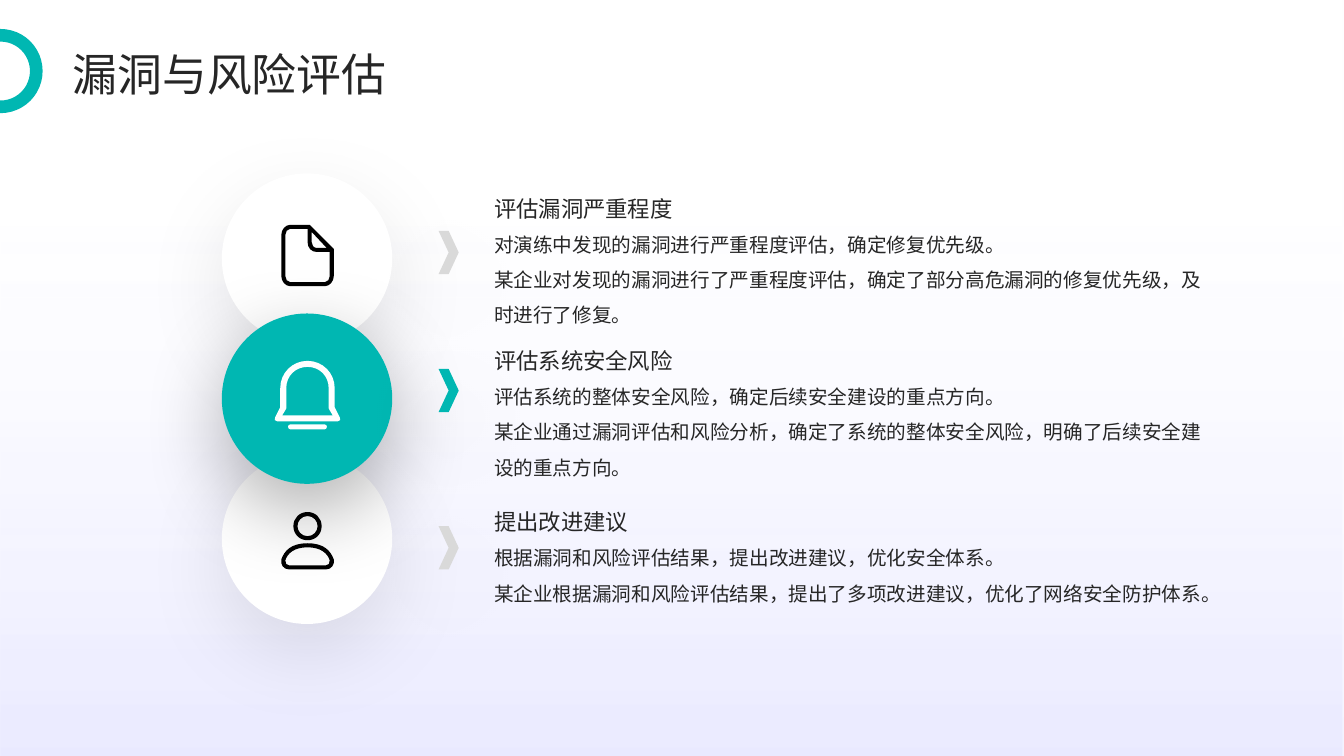
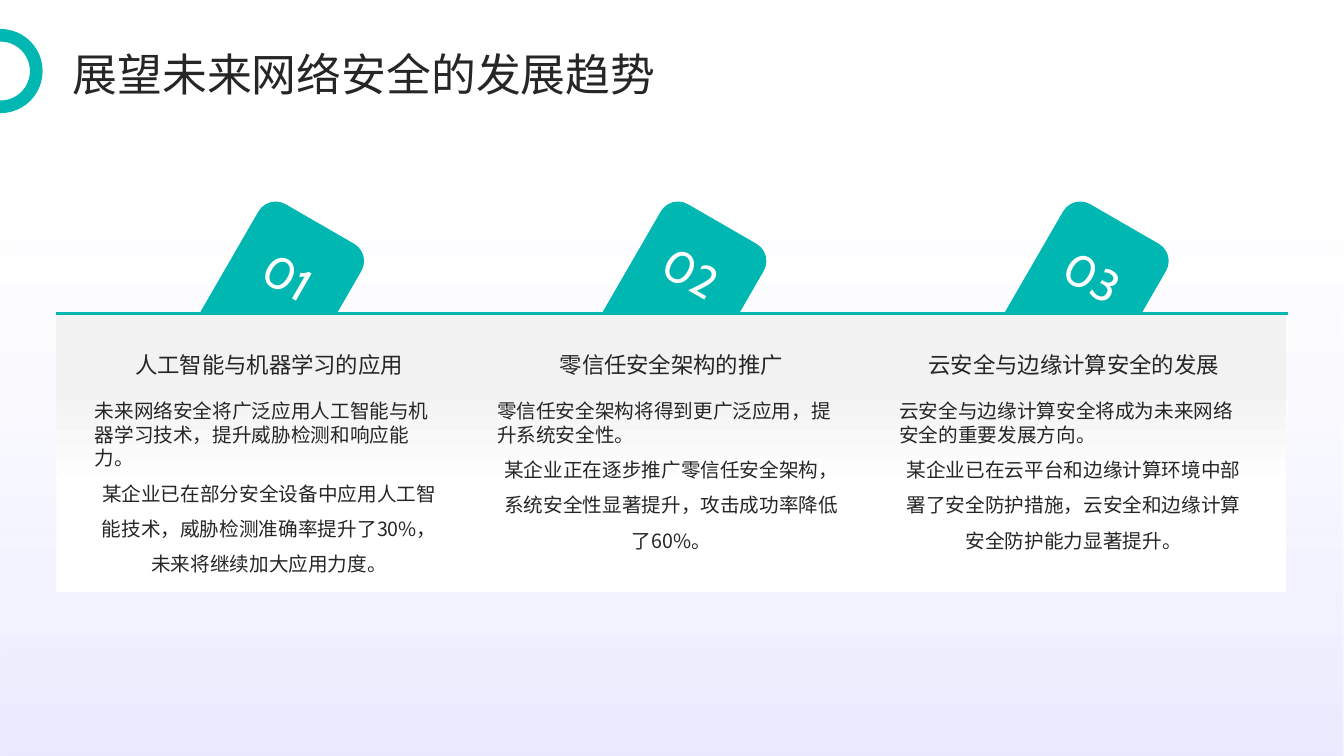
from lxml.etree import SubElement
from pptx import Presentation
from pptx.dml.color import RGBColor
from pptx.enum.shapes import MSO_CONNECTOR, MSO_SHAPE
from pptx.enum.text import MSO_ANCHOR, PP_ALIGN
from pptx.oxml.ns import qn
from pptx.util import Pt

PX = 9144
WIDE, HIGH = 1333, 750
TEAL = RGBColor(0x00, 0xB7, 0xB2)
INK = RGBColor(0x26, 0x26, 0x26)
WHITE = RGBColor(0xFF, 0xFF, 0xFF)
BLACK = RGBColor(0x00, 0x00, 0x00)
GREY = RGBColor(0xD9, 0xD9, 0xD9)
PALE = RGBColor(0xF2, 0xF2, 0xF2)
LILAC = RGBColor(0xBC, 0xBC, 0xFF)
BLUE = RGBColor(0x79, 0x79, 0xFF)
SANS = "Noto Sans CJK SC"
ROUND = "Cabin"
MID = 305

RISKS = [
    (179, 229, "评估漏洞严重程度", "对演练中发现的漏洞进行严重程度评估，确定修复优先级。",
     "某企业对发现的漏洞进行了严重程度评估，确定了部分高危漏洞的修复优先级，及时进行了修复。"),
    (330, 366, "评估系统安全风险", "评估系统的整体安全风险，确定后续安全建设的重点方向。",
     "某企业通过漏洞评估和风险分析，确定了系统的整体安全风险，明确了后续安全建设的重点方向。"),
    (490, 522, "提出改进建议", "根据漏洞和风险评估结果，提出改进建议，优化安全体系。",
     "某企业根据漏洞和风险评估结果，提出了多项改进建议，优化了网络安全防护体系。"),
]
TRENDS = [
    ("01", 243, "人工智能与机器学习的应用",
     "未来网络安全将广泛应用人工智能与机器学习技术，提升威胁检测和响应能力。",
     "某企业已在部分安全设备中应用人工智能技术，威胁检测准确率提升了30%，未来将继续加大应用力度。"),
    ("02", 239, "零信任安全架构的推广", "零信任安全架构将得到更广泛应用，提升系统安全性。",
     "某企业正在逐步推广零信任安全架构，系统安全性显著提升，攻击成功率降低了60%。"),
    ("03", 243, "云安全与边缘计算安全的发展",
     "云安全与边缘计算安全将成为未来网络安全的重要发展方向。",
     "某企业已在云平台和边缘计算环境中部署了安全防护措施，云安全和边缘计算安全防护能力显著提升。"),
]

PAGE = [
    [(331, 248), (331, 247), (308, 224), (307, 223), (288, 223),
     (283, 223, 279, 228, 279, 233), (279, 274),
     (279, 279, 283, 284, 288, 284), (322, 284),
     (327, 284, 331, 279, 331, 274)],
    [(309, 240), (309, 230), (324, 246), (314, 246),
     (311, 246, 309, 243, 309, 240)],
    [(327, 274), (327, 277, 325, 280, 322, 280), (288, 280),
     (285, 280, 283, 277, 283, 274), (283, 233),
     (283, 230, 285, 227, 288, 227), (305, 227), (305, 240),
     (305, 246, 309, 250, 314, 250), (327, 250)],
]
BELL = [
    [(305, 358), (290, 358, 278, 370, 278, 385), (278, 404), (273, 414),
     (271, 416, 273, 418, 275, 418), (305, 418)],
    [(305, 364), (293, 364, 284, 373, 284, 385), (284, 405),
     (284, 406, 283, 406, 283, 407), (280, 412), (305, 412)],
    [(305, 421), (288, 421), (285, 421, 285, 426, 288, 426), (305, 426)],
]
USER = [
    [(305, 508), (297, 508, 291, 514, 291, 522),
     (291, 530, 297, 536, 305, 536)],
    [(305, 512), (299, 512, 295, 517, 295, 522),
     (295, 527, 299, 532, 305, 532)],
    [(305, 539), (288, 539, 282, 547, 279, 555),
     (278, 560, 281, 565, 287, 565), (305, 565)],
    [(305, 543), (292, 543, 285, 549, 283, 556),
     (283, 559, 284, 561, 287, 561), (305, 561)],
]


def fold(left):
    right = []
    for k in range(len(left) - 1, 0, -1):
        x, y = left[k - 1][-2:]
        end = (2 * MID - x, y)
        if len(left[k]) == 6:
            a, b, c, d = left[k][:4]
            end = (2 * MID - c, d, 2 * MID - a, b) + end
        right.append(end)
    return left + right


def bend(node, part, item):
    for child in list(node):
        node.remove(child)
    for x, y in zip(part[::2], part[1::2]):
        SubElement(node, qn("a:pt"), x=str(x * PX - item.left),
                   y=str(y * PX - item.top))
    node.tag = qn("a:cubicBezTo")


def icon(slide, loops, color):
    pen = None
    for loop in loops:
        dots = [(part[-2] * PX, part[-1] * PX) for part in loop]
        if pen is None:
            pen = slide.shapes.build_freeform(*dots[0])
        else:
            pen.move_to(*dots[0])
        pen.add_line_segments(dots[1:], close=True)
    item = pen.convert_to_shape()
    item.shadow.inherit = False
    paint(item, color)
    parts = [part for loop in loops for part in loop[1:]]
    for node, part in zip(list(item._element.iter(qn("a:lnTo"))), parts):
        if len(part) == 6:
            bend(node, part, item)


def paint(item, color):
    item.fill.solid()
    item.fill.fore_color.rgb = color
    item.line.fill.background()


def shape(slide, kind, box, color=None):
    item = slide.shapes.add_shape(kind, *(n * PX for n in box))
    item.shadow.inherit = False
    if color is None:
        item.fill.background()
        item.line.fill.background()
    else:
        paint(item, color)
    return item


def tint(parent, color, alpha):
    node = SubElement(parent, qn("a:srgbClr"), val=str(color))
    SubElement(node, qn("a:alpha"), val=str(alpha * 1000))


def shade(item, alpha):
    glow = SubElement(item._element.spPr.find(qn("a:effectLst")),
                      qn("a:outerShdw"), blurRad=str(Pt(60)), dist=str(Pt(20)),
                      dir="5400000", algn="t", rotWithShape="0")
    tint(glow, BLACK, alpha)


def blend(slide, box, stops, angle):
    item = shape(slide, MSO_SHAPE.RECTANGLE, box)
    old = item._element.spPr.find(qn("a:noFill"))
    grad = SubElement(item._element.spPr, qn("a:gradFill"), rotWithShape="1")
    item._element.spPr.replace(old, grad)
    marks = SubElement(grad, qn("a:gsLst"))
    for spot, color, alpha in stops:
        tint(SubElement(marks, qn("a:gs"), pos=str(spot * 1000)), color, alpha)
    SubElement(grad, qn("a:lin"), ang=str(angle * 60000), scaled="0")


def write(slide, box, lines, size, color=INK, face=SANS, anchor=MSO_ANCHOR.TOP):
    item = slide.shapes.add_textbox(*(n * PX for n in box))
    frame = item.text_frame
    frame.word_wrap = True
    frame.vertical_anchor = anchor
    frame.margin_left = frame.margin_right = 0
    frame.margin_top = frame.margin_bottom = 0
    for k, (text, space, align) in enumerate(lines):
        para = frame.add_paragraph() if k else frame.paragraphs[0]
        para.text = text
        para.line_spacing = space
        para.alignment = align
        para.font.size = Pt(size)
        para.font.name = face
        para.font.color.rgb = color
        SubElement(para._p.pPr.find(qn("a:defRPr")), qn("a:ea"), typeface=face)
    return item


def head(slide, box, text, size, space, align=PP_ALIGN.LEFT):
    write(slide, box, [(text, space, align)], size, anchor=MSO_ANCHOR.MIDDLE)


def prose(slide, box, lead, case, align=PP_ALIGN.LEFT):
    item = write(slide, box, [(lead, 1.0, PP_ALIGN.LEFT), (case, 1.5, align)], 14)
    item.text_frame.paragraphs[0]._p.pPr.set("hangingPunct", "0")


def start(deck, title):
    slide = deck.slides.add_slide(deck.slide_layouts[6])
    blend(slide, (0, 0, WIDE, HIGH), [(29, LILAC, 0), (100, BLUE, 15)], 90)
    ring = shape(slide, MSO_SHAPE.OVAL, (-35, 35, 71, 71))
    ring.line.color.rgb = TEAL
    ring.line.width = Pt(9)
    head(slide, (72, 47, 1188, 47), title, 32, 1.1)
    return slide


def risks(deck):
    slide = start(deck, "漏洞与风险评估")
    for k, color, alpha in ((2, WHITE, 10), (0, WHITE, 10), (1, TEAL, 30)):
        disc = shape(slide, MSO_SHAPE.OVAL, (220, 172 + 139 * k, 169, 169), color)
        shade(disc, alpha)
    icon(slide, PAGE, BLACK)
    icon(slide, [fold(loop) for loop in BELL], WHITE)
    icon(slide, [fold(loop) for loop in USER], BLACK)
    for k, (top, mark, name, lead, case) in enumerate(RISKS):
        color, alpha = (TEAL, 20) if k == 1 else (GREY, 10)
        shade(shape(slide, MSO_SHAPE.CHEVRON, (435, mark, 20, 43), color), alpha)
        head(slide, (490, top, 718, 42), name, 16, 1.5)
        prose(slide, (490, top + 52, 718, 99), lead, case)


def trends(deck):
    slide = start(deck, "展望未来网络安全的发展趋势")
    step = 399
    for k in range(len(TRENDS)):
        tab = shape(slide, MSO_SHAPE.ROUNDED_RECTANGLE,
                    (205 + step * k, 208, 118, 213), TEAL)
        tab.rotation = 30
    blend(slide, (56, 311, 1220, 276), [(37, WHITE, 100), (74, PALE, 100)], 270)
    rule = slide.shapes.add_connector(MSO_CONNECTOR.STRAIGHT, 56 * PX, 311 * PX,
                                      1277 * PX, 311 * PX)
    rule.line.color.rgb = TEAL
    rule.line.width = Pt(1.5)
    SubElement(rule._element.spPr, qn("a:effectLst"))
    for k, (mark, top, name, lead, case) in enumerate(TRENDS):
        left = 94 + step * k
        head(slide, (left, 340, 346, 35), name, 16, 1.3, PP_ALIGN.CENTER)
        prose(slide, (left, 396, 346, 208), lead, case, PP_ALIGN.CENTER)
        label = write(slide, (251 + step * k, top, 79, 290 - top),
                      [(mark, 1.1, PP_ALIGN.CENTER)], 32, WHITE, ROUND)
        label.rotation = 30


def main():
    deck = Presentation()
    deck.slide_width = WIDE * PX
    deck.slide_height = HIGH * PX
    risks(deck)
    trends(deck)
    deck.save("out.pptx")


if __name__ == "__main__":
    main()
